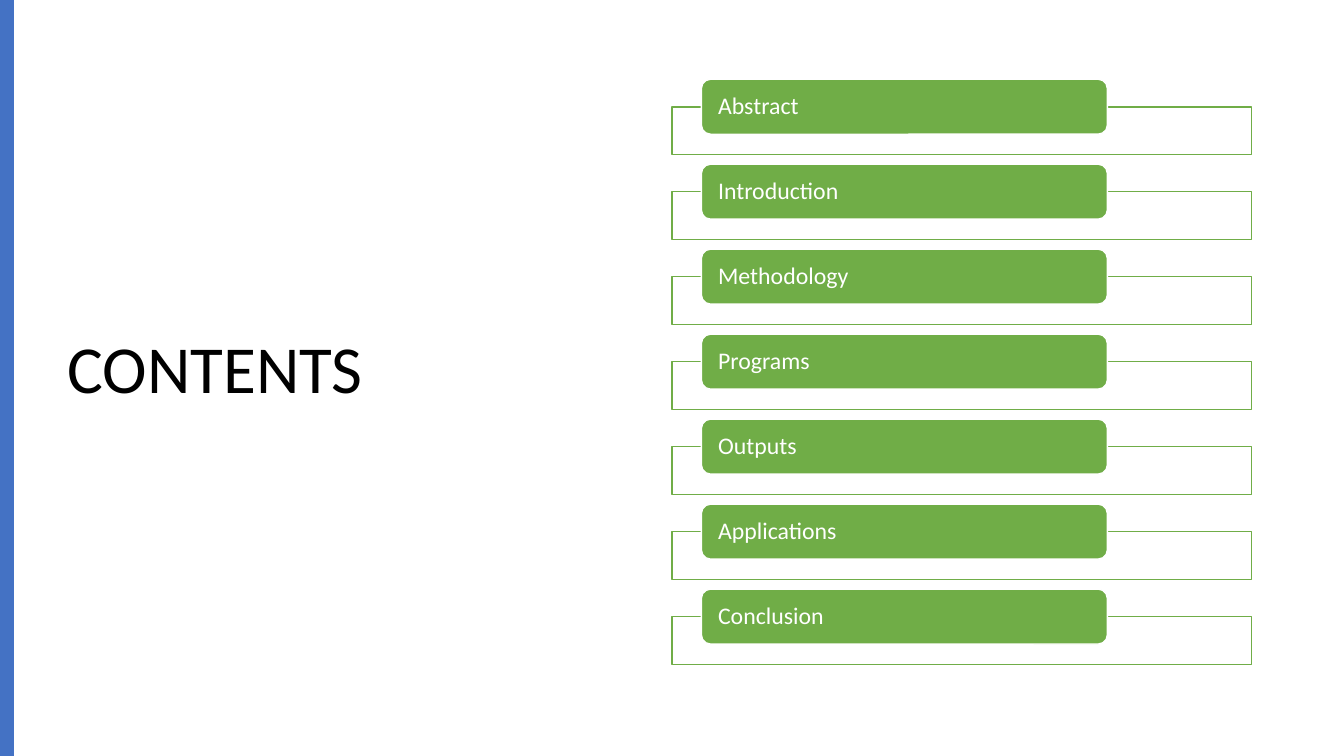
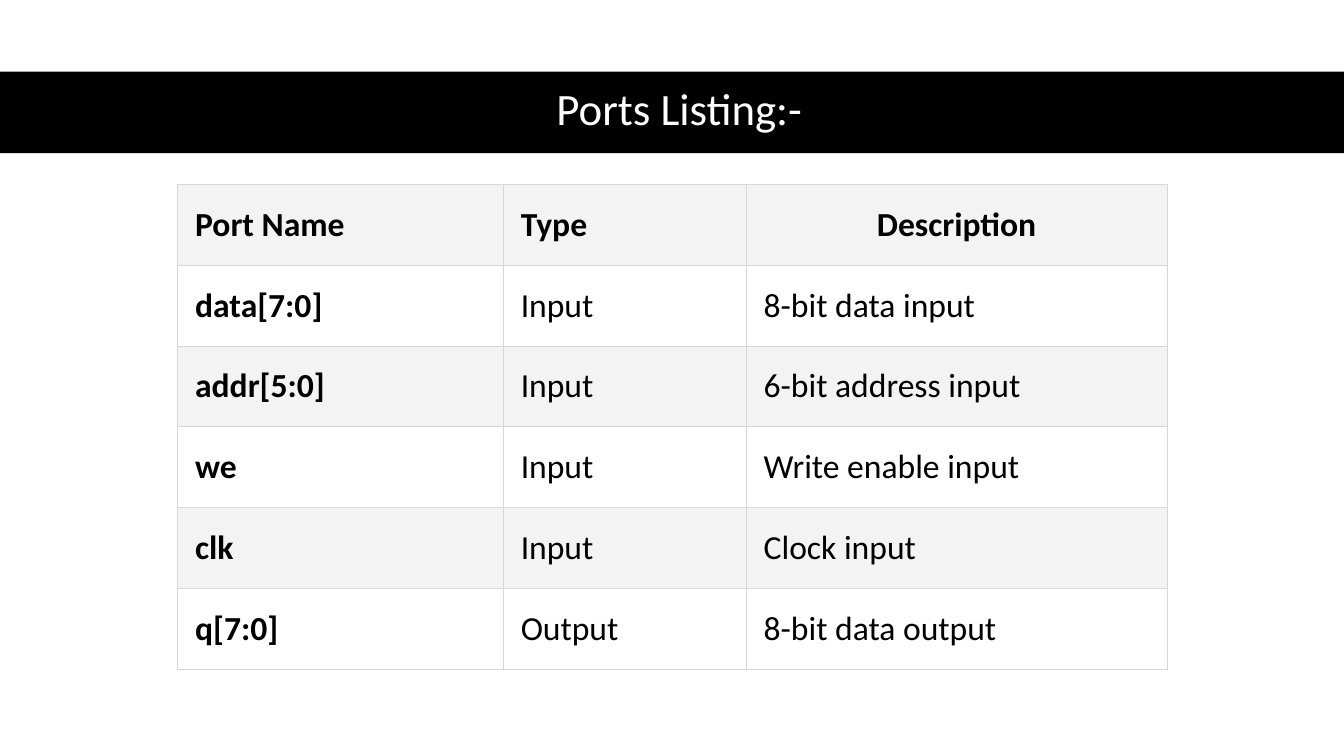
import dataclasses

import lxml.etree
import pptx
import pptx.dml.color
import pptx.enum.shapes
import pptx.enum.text
import pptx.oxml.ns
import pptx.util

ALIGN = pptx.enum.text.PP_ALIGN
MIDDLE = pptx.enum.text.MSO_ANCHOR.MIDDLE
SHAPES = pptx.enum.shapes.MSO_SHAPE
TITLE_ONLY = 5


@dataclasses.dataclass(frozen=True)
class Theme:
    font: str = "Calibri"
    black: str = "000000"
    white: str = "FFFFFF"
    blue: str = "4472C4"
    green: str = "70AD47"
    stripe: str = "F3F3F3"
    border: str = "D7D7D7"
    cover_size: int = 48
    title_size: int = 32
    table_size: int = 24
    item_size: int = 17
    line_width: float = 1
    border_width: float = 0.6


THEME = Theme()

# The slide is a grid of 96 columns by 54 rows of square units
COLUMNS, ROWS = 96, 54
SLIDE_WIDTH = pptx.util.Inches(13.33)
SLIDE_HEIGHT = pptx.util.Inches(7.5)

CONTENTS = ["Abstract", "Introduction", "Methodology", "Programs",
            "Outputs", "Applications", "Conclusion"]
PORTS = [
    ("Port Name", "Type", "Description"),
    ("data[7:0]", "Input", "8-bit data input"),
    ("addr[5:0]", "Input", "6-bit address input"),
    ("we", "Input", "Write enable input"),
    ("clk", "Input", "Clock input"),
    ("q[7:0]", "Output", "8-bit data output"),
]


def across(columns):
    return round(SLIDE_WIDTH * columns / COLUMNS)


def down(rows):
    return round(SLIDE_HEIGHT * rows / ROWS)


def box(left, top, width, height):
    return across(left), down(top), across(width), down(height)


def rgb(value):
    return pptx.dml.color.RGBColor.from_string(value)


def write(text_frame, text, size, color, align=ALIGN.LEFT, bold=False, spacing=None):
    text_frame.text = text
    paragraph = text_frame.paragraphs[0]
    paragraph.alignment = align
    if spacing:
        paragraph.line_spacing = spacing
    font = paragraph.runs[0].font
    font.name, font.size, font.bold = THEME.font, pptx.util.Pt(size), bold
    font.color.rgb = rgb(color)


def add_block(slide, kind, area, fill, line=None):
    shape = slide.shapes.add_shape(kind, *area)
    shape.shadow.inherit = False
    shape.fill.solid()
    shape.fill.fore_color.rgb = rgb(fill)
    if line:
        shape.line.color.rgb = rgb(line)
        shape.line.width = pptx.util.Pt(THEME.line_width)
    else:
        shape.line.fill.background()
    return shape


def set_alpha(shape, percent):
    color = shape.fill._xPr.find(".//" + pptx.oxml.ns.qn("a:srgbClr"))
    alpha = lxml.etree.SubElement(color, pptx.oxml.ns.qn("a:alpha"))
    alpha.set("val", str(percent * 1000))


def set_title(slide, text, area, size, color, align):
    title = slide.shapes.title
    title.left, title.top, title.width, title.height = area
    # Bring the title in front of any band
    slide.shapes._spTree.append(title._element)
    text_frame = title.text_frame
    text_frame.word_wrap = True
    text_frame.auto_size = pptx.enum.text.MSO_AUTO_SIZE.NONE
    text_frame.vertical_anchor = MIDDLE
    write(text_frame, text, size, color, align, spacing=0.9)


def add_contents_item(slide, text, top):
    frame = add_block(slide, SHAPES.RECTANGLE, box(48, top, 41.4, 3.4),
                      THEME.white, THEME.green)
    set_alpha(frame, 90)
    label = add_block(slide, SHAPES.ROUNDED_RECTANGLE,
                      box(50.1, top - 1.97, 29, 3.93), THEME.green, THEME.white)
    text_frame = label.text_frame
    text_frame.word_wrap = True
    text_frame.vertical_anchor = MIDDLE
    text_frame.margin_left = text_frame.margin_right = across(1)
    text_frame.margin_top = text_frame.margin_bottom = 0
    write(text_frame, text, THEME.item_size, THEME.white, spacing=0.9)


def set_borders(cell):
    properties = cell._tc.get_or_add_tcPr()
    for side in ("a:lnL", "a:lnR", "a:lnT", "a:lnB"):
        line = lxml.etree.SubElement(properties, pptx.oxml.ns.qn(side))
        line.set("w", str(pptx.util.Pt(THEME.border_width)))
        fill = lxml.etree.SubElement(line, pptx.oxml.ns.qn("a:solidFill"))
        color = lxml.etree.SubElement(fill, pptx.oxml.ns.qn("a:srgbClr"))
        color.set("val", THEME.border)


def format_cell(cell, text, fill, align, bold):
    cell.vertical_anchor = MIDDLE
    cell.margin_left = cell.margin_right = across(1.27)
    cell.margin_top = cell.margin_bottom = down(1.27)
    write(cell.text_frame, text, THEME.table_size, THEME.black, align, bold)
    set_borders(cell)
    cell.fill.solid()
    cell.fill.fore_color.rgb = rgb(fill)


def add_ports_table(slide, left, top, widths, row_height):
    area = box(left, top, sum(widths), row_height * len(PORTS))
    table = slide.shapes.add_table(len(PORTS), len(widths), *area).table
    table.horz_banding = False
    for column, width in zip(table.columns, widths):
        column.width = across(width)
    for row, values in enumerate(PORTS):
        table.rows[row].height = down(row_height)
        fill = THEME.white if row % 2 else THEME.stripe
        for column, text in enumerate(values):
            centred = row == 0 and column == len(widths) - 1
            format_cell(table.cell(row, column), text, fill,
                        ALIGN.CENTER if centred else ALIGN.LEFT,
                        bold=row == 0 or column == 0)


def build_contents(slide):
    # Title beside a blue edge
    set_title(slide, "CONTENTS", box(4.1, 4.9, 40.8, 43.35),
              THEME.cover_size, THEME.black, ALIGN.LEFT)
    add_block(slide, SHAPES.RECTANGLE, box(0, 0, 1, ROWS), THEME.blue)

    # Evenly spaced list of sections
    first_top, pitch = 7.63, 6.07
    for index, text in enumerate(CONTENTS):
        add_contents_item(slide, text, first_top + index * pitch)


def build_ports(slide):
    # Title on a black band
    add_block(slide, SHAPES.RECTANGLE, box(0, 5.11, COLUMNS, 5.83), THEME.black)
    set_title(slide, "Ports Listing:-", box(4.39, 5.04, 88.27, 5.83),
              THEME.title_size, THEME.white, ALIGN.CENTER)

    # Port table
    add_ports_table(slide, 12.67, 13.18, (23.26, 17.35, 30.1), 5.77)


def main():
    presentation = pptx.Presentation()
    presentation.slide_width = SLIDE_WIDTH
    presentation.slide_height = SLIDE_HEIGHT
    layout = presentation.slide_layouts[TITLE_ONLY]
    for build in (build_contents, build_ports):
        build(presentation.slides.add_slide(layout))
    presentation.save("out.pptx")


if __name__ == "__main__":
    main()
